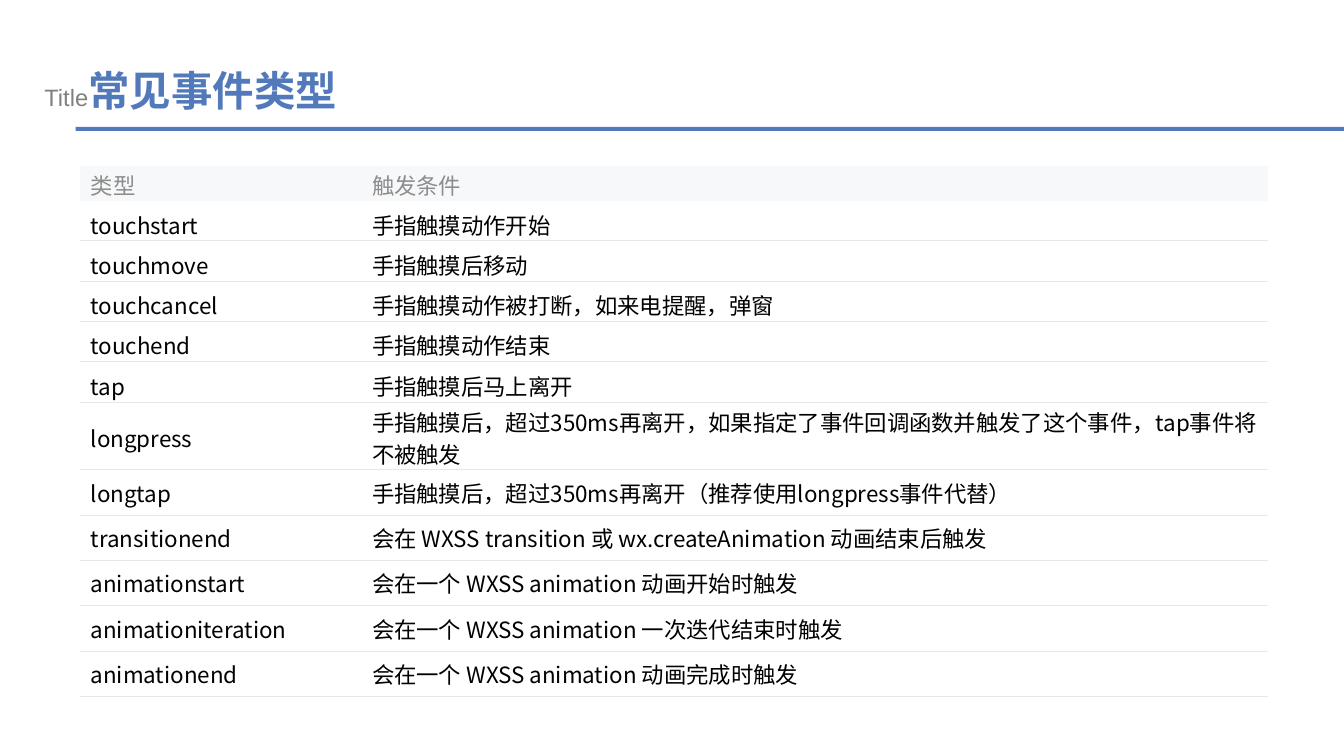
import pptx
import pptx.util
import pptx.dml.color
import pptx.enum.shapes
import pptx.enum.text
import pptx.oxml
import pptx.oxml.ns

WIDTH, HEIGHT = 13.33, 7.5
BLUE, GREY, BLACK = "5279BA", "8D8D8D", "000000"
CJK = "Noto Sans CJK SC"
COLUMN_WIDTHS = [2.79, 9]
# height, top margin and bottom margin of each row
ROW_SIZES = ([(0.34, 0.02, 0)] + [(0.4, 0.07, 0)] * 5
             + [(0.67, 0.03, 0)] + [(0.45, 0.06, 0.06)] * 5)
EVENTS = [
    ("类型", "触发条件"),
    ("touchstart", "手指触摸动作开始"),
    ("touchmove", "手指触摸后移动"),
    ("touchcancel", "手指触摸动作被打断，如来电提醒，弹窗"),
    ("touchend", "手指触摸动作结束"),
    ("tap", "手指触摸后马上离开"),
    ("longpress", "手指触摸后，超过350ms再离开，如果指定了事件回调函数并触发了这个事件，tap事件将不被触发"),
    ("longtap", "手指触摸后，超过350ms再离开（推荐使用longpress事件代替）"),
    ("transitionend", "会在 WXSS transition 或 wx.createAnimation 动画结束后触发"),
    ("animationstart", "会在一个 WXSS animation 动画开始时触发"),
    ("animationiteration", "会在一个 WXSS animation 一次迭代结束时触发"),
    ("animationend", "会在一个 WXSS animation 动画完成时触发"),
]


def inches(value):
    return pptx.util.Inches(value)


def paint(fill, color):
    fill.solid()
    fill.fore_color.rgb = pptx.dml.color.RGBColor.from_string(color)


def add_span(para, text, size, color, font=CJK, bold=False):
    span = para.add_run()
    span.text = text
    span.font.size = pptx.util.Pt(size)
    span.font.bold = bold
    span.font.name = font
    paint(span.font.fill, color)
    east_asian = pptx.oxml.parse_xml(
        f'<a:ea {pptx.oxml.ns.nsdecls("a")} typeface="{CJK}"/>')
    span.font._element.find(pptx.oxml.ns.qn("a:latin")).addnext(east_asian)


def set_borders(cell, visible):
    """Rule the named sides of a cell and clear the others."""
    properties = cell._tc.get_or_add_tcPr()
    for index, side in enumerate(["lnL", "lnR", "lnT", "lnB"]):
        ink = '<a:solidFill><a:srgbClr val="E7E7EB"/></a:solidFill>' if side in visible else "<a:noFill/>"
        properties.insert(index, pptx.oxml.parse_xml(
            f'<a:{side} {pptx.oxml.ns.nsdecls("a")} w="9525">{ink}</a:{side}>'))


def add_title(page):
    title = page.shapes.title
    title.left, title.top = inches(0.34), inches(0.59)
    title.width, title.height = inches(10.74), inches(0.6)
    frame = title.text_frame
    frame.auto_size = pptx.enum.text.MSO_AUTO_SIZE.NONE
    frame.vertical_anchor = pptx.enum.text.MSO_ANCHOR.MIDDLE
    para = frame.paragraphs[0]
    para.alignment = pptx.enum.text.PP_ALIGN.LEFT
    add_span(para, "Title", 16.9, "808080", font="Arial")
    add_span(para, "常见事件类型", 29.6, BLUE, bold=True)


def add_rule(page):
    left = 0.75
    rule = page.shapes.add_shape(
        pptx.enum.shapes.MSO_SHAPE.RECTANGLE,
        inches(left), inches(1.26), inches(WIDTH - left), inches(0.04))
    rule.shadow.inherit = False
    paint(rule.fill, BLUE)
    rule.line.fill.background()


def fill_cell(cell, text, row):
    header = row == 0
    height, top, bottom = ROW_SIZES[row]
    cell.vertical_anchor = pptx.enum.text.MSO_ANCHOR.MIDDLE
    cell.margin_left = cell.margin_right = inches(0.11)
    cell.margin_top, cell.margin_bottom = inches(top), inches(bottom)
    add_span(cell.text_frame.paragraphs[0], text, 16, GREY if header else BLACK)
    paint(cell.fill, "F6F8F9" if header else "FFFFFF")
    set_borders(cell, [] if header else ["lnB"] if row == 1 else ["lnT", "lnB"])


def add_event_table(page):
    holder = page.shapes.add_table(
        len(EVENTS), len(COLUMN_WIDTHS), inches(0.79), inches(1.65),
        inches(sum(COLUMN_WIDTHS)), inches(sum(size[0] for size in ROW_SIZES)))
    table = holder.table
    table.horz_banding = False
    for column, width in zip(table.columns, COLUMN_WIDTHS):
        column.width = inches(width)
    for row, size in zip(table.rows, ROW_SIZES):
        row.height = inches(size[0])
    for row, event in enumerate(EVENTS):
        for column, text in enumerate(event):
            fill_cell(table.cell(row, column), text, row)


def main():
    deck = pptx.Presentation()
    deck.slide_width, deck.slide_height = inches(WIDTH), inches(HEIGHT)
    page = deck.slides.add_slide(deck.slide_layouts.get_by_name("Title Only"))
    add_rule(page)
    add_title(page)
    add_event_table(page)
    deck.save("out.pptx")


if __name__ == "__main__":
    main()
